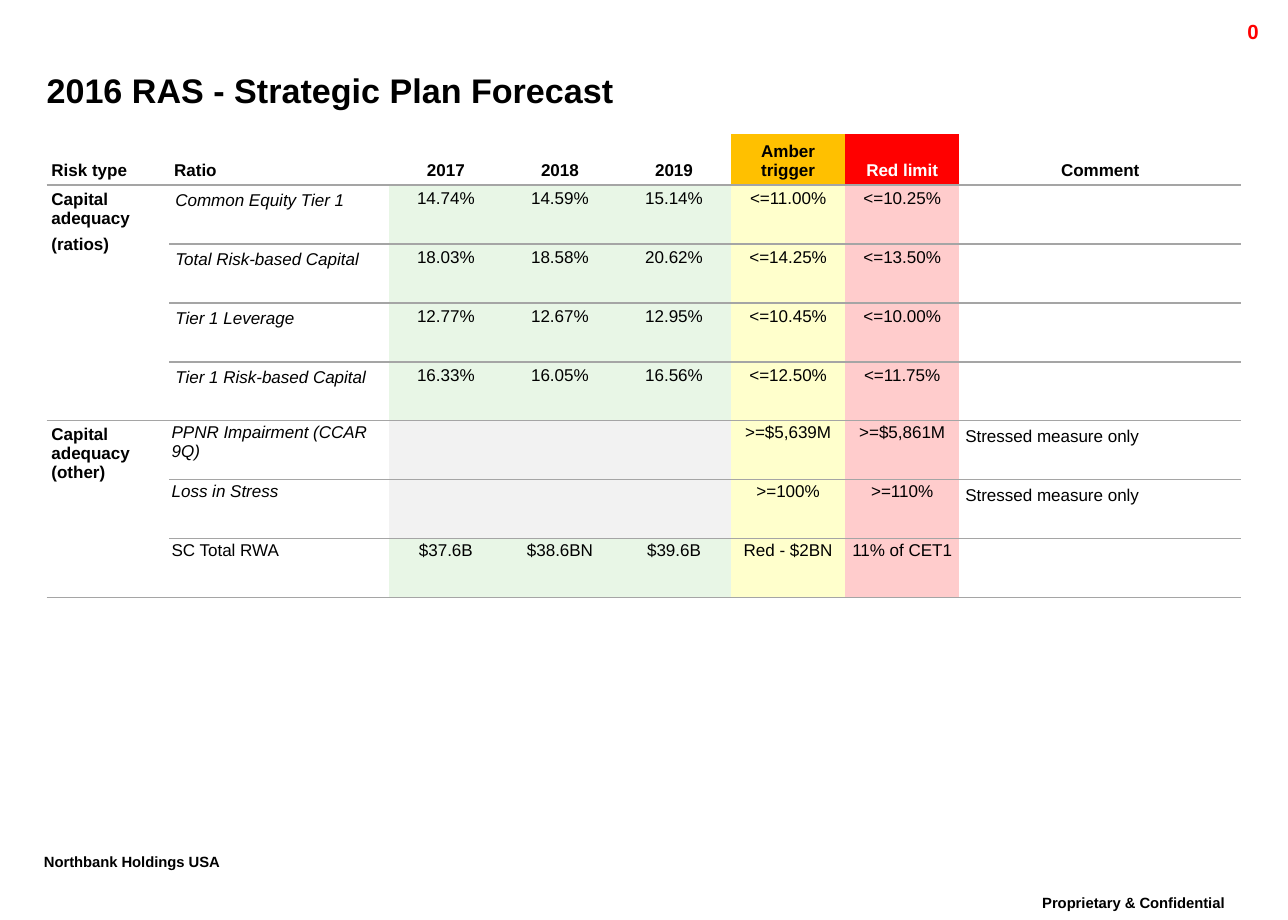
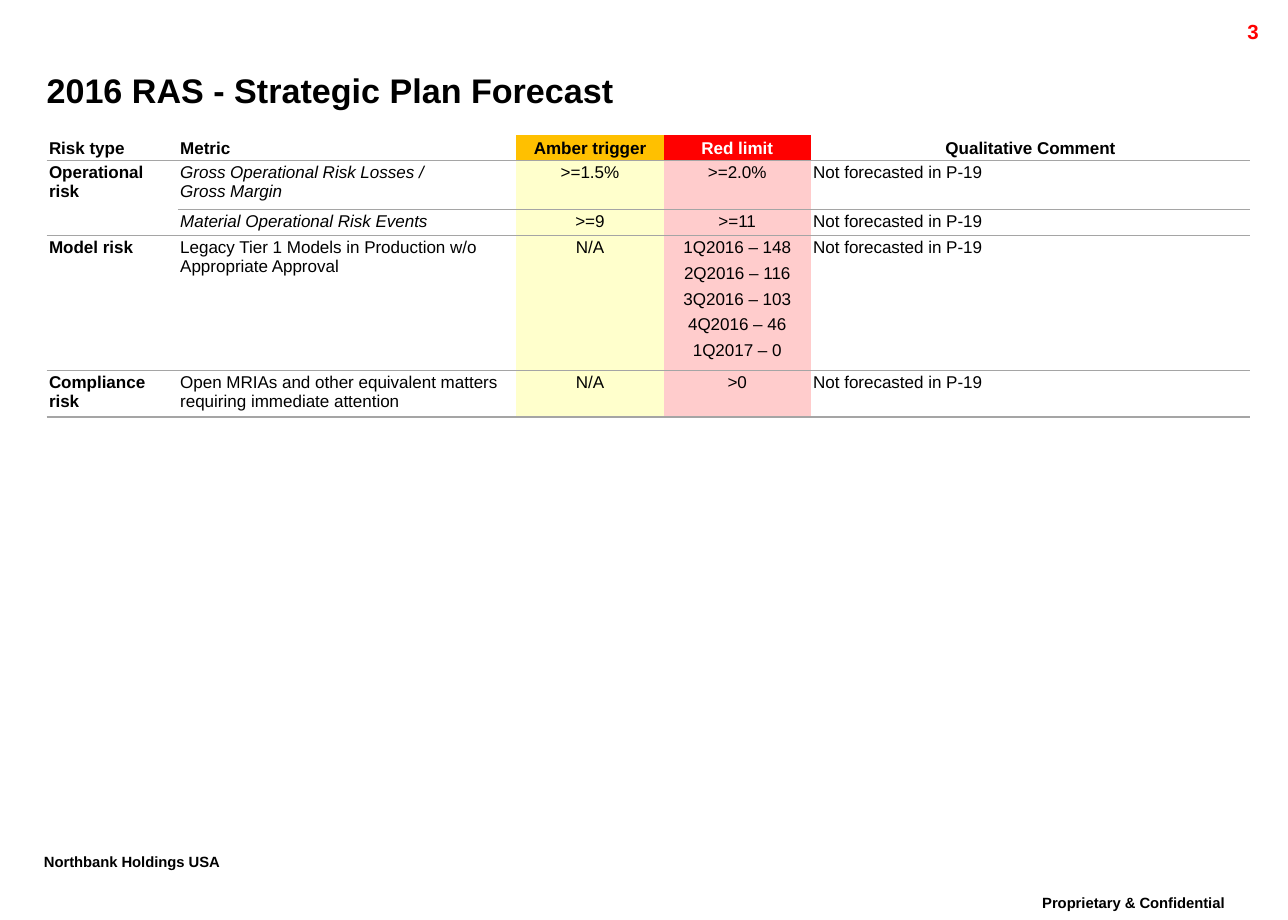
from lxml import etree
from pptx import Presentation
from pptx.dml.color import RGBColor
from pptx.enum.text import MSO_ANCHOR, PP_ALIGN
from pptx.oxml.ns import qn
from pptx.util import Inches, Pt

LEFT, CENTER, RIGHT = PP_ALIGN.LEFT, PP_ALIGN.CENTER, PP_ALIGN.RIGHT
TOP, MIDDLE, BOTTOM = MSO_ANCHOR.TOP, MSO_ANCHOR.MIDDLE, MSO_ANCHOR.BOTTOM
TITLE_ONLY = 5
PLAIN_TABLE_STYLE = "{2D5ABB26-0587-4C30-8999-92F81FD0307C}"

FONT = "Arial"
BLACK, WHITE, RED, RULE = "000000", "FFFFFF", "FF0000", "A5A5A5"
GREEN_TINT, GREY_TINT = "E8F6E6", "F2F2F2"
HEADING_FILLS = {"Amber trigger": "FFC000", "Red limit": RED}
BODY_TINTS = {"Amber trigger": "FFFFCC", "Red limit": "FFCCCC"}
LEFT_HEADINGS = ("Risk type", "Ratio", "Metric")


def color(value):
    return RGBColor.from_string(value)


def body_tint(heading, text):
    """Years are green, or grey where no forecast exists; limits keep their own tint."""
    if heading.isdigit():
        return GREEN_TINT if text else GREY_TINT
    return BODY_TINTS.get(heading)


def set_bottom_rule(cell):
    properties = cell._tc.get_or_add_tcPr()
    line = etree.Element(qn("a:lnB"), w=str(Pt(1)))
    fill = etree.SubElement(line, qn("a:solidFill"))
    etree.SubElement(fill, qn("a:srgbClr"), val=RULE)
    properties.insert(0, line)


class Deck:
    def __init__(self):
        self.presentation = Presentation()
        self.presentation.slide_width = Inches(10.5)
        self.presentation.slide_height = Inches(7.5)
        self.slide = None

    def style(self, paragraph, size, align=LEFT, bold=False, italic=False, ink=BLACK):
        paragraph.alignment = align
        font = paragraph.font
        font.name, font.size = FONT, Pt(size)
        font.bold, font.italic = bold, italic
        font.color.rgb = color(ink)

    def add_slide(self, title, page):
        layout = self.presentation.slide_layouts[TITLE_ONLY]
        self.slide = self.presentation.slides.add_slide(layout)
        self.title(title)
        self.label(page, 9.36, 0.11, 1, 0.24, 12, RIGHT, RED)
        self.footer("Northbank Holdings USA", 0.26, 6.91, 1.91, LEFT)
        self.footer("Proprietary & Confidential", 8.15, 7.25, 2.18, CENTER)

    def title(self, text):
        shape = self.slide.shapes.title
        shape.left, shape.top = Inches(0.38), Inches(0.49)
        shape.width, shape.height = Inches(9.48), Inches(0.48)
        frame = shape.text_frame
        frame.text = text
        frame.vertical_anchor = MIDDLE
        frame.margin_left = frame.margin_right = 0
        frame.margin_top = frame.margin_bottom = 0
        self.style(frame.paragraphs[0], 20, bold=True)

    def label(self, text, left, top, width, height, size, align, ink=BLACK):
        box = self.slide.shapes.add_textbox(
            Inches(left), Inches(top), Inches(width), Inches(height))
        box.text_frame.word_wrap = True
        box.text_frame.text = text
        paragraph = box.text_frame.paragraphs[0]
        self.style(paragraph, size, align, bold=True, ink=ink)
        return paragraph

    def footer(self, text, left, top, width, align):
        """Footers are set as raised superscript text."""
        paragraph = self.label(text, left, top, width, 0.35, 15, align)
        paragraph.line_spacing = 0.86
        paragraph.runs[0].font._element.set("baseline", "30000")

    def cell(self, cell, text, margin, fill=None, anchor=TOP, roomy=False, **font):
        """Roomy cells have no paragraph spacing; their centred figures get 10 pt lines."""
        cell.text = text
        cell.vertical_anchor = anchor
        cell.margin_left = cell.margin_right = Inches(margin)
        cell.margin_top = cell.margin_bottom = Inches(margin)
        if fill:
            cell.fill.solid()
            cell.fill.fore_color.rgb = color(fill)
        else:
            cell.fill.background()
        for paragraph in cell.text_frame.paragraphs:
            self.style(paragraph, 10, **font)
            if not roomy:
                paragraph.space_before = paragraph.space_after = Pt(2)
            elif paragraph.alignment == CENTER:
                paragraph.line_spacing = Pt(10)

    def table(self, top, widths, heights, headings, groups, italic_rows,
              roomy_rows=0, label_margin=0.02, comment_margin=0.02):
        """Each group is a risk type with its rows; the first rows may be italic or roomy."""
        frame = self.slide.shapes.add_table(
            len(heights), len(widths), Inches(0.38), Inches(top),
            Inches(sum(widths)), Inches(sum(heights)))
        table = frame.table
        table.first_row = table.horz_banding = False
        table._tbl.tblPr.find(qn("a:tableStyleId")).text = PLAIN_TABLE_STYLE
        for column, width in zip(table.columns, widths):
            column.width = Inches(width)
        for row, height in zip(table.rows, heights):
            row.height = Inches(height)

        for column, heading in enumerate(headings):
            cell = table.cell(0, column)
            self.cell(cell, heading, label_margin, HEADING_FILLS.get(heading), BOTTOM,
                      align=LEFT if heading in LEFT_HEADINGS else CENTER, bold=True,
                      ink=WHITE if heading == "Red limit" else BLACK)
            set_bottom_rule(cell)

        first = 1
        for risk_type, rows in groups:
            last = first + len(rows) - 1
            label = table.cell(first, 0)
            self.cell(label, risk_type, label_margin, bold=True)
            set_bottom_rule(label)
            if last > first:
                label.merge(table.cell(last, 0))
                set_bottom_rule(table.cell(last, 0))
            for row, texts in enumerate(rows, first):
                self.body_row(table, row, headings, texts, row <= italic_rows,
                              row <= roomy_rows, comment_margin)
            first = last + 1

    def body_row(self, table, row, headings, texts, italic, roomy, comment_margin):
        last = len(headings) - 1
        for column, text in enumerate(texts, 1):
            heading = headings[column]
            margin = 0.05 if roomy else 0.02
            if column == last:
                margin = comment_margin
            cell = table.cell(row, column)
            self.cell(cell, text, margin, body_tint(heading, text), roomy=roomy,
                      align=LEFT if column in (1, last) else CENTER,
                      italic=italic and column == 1)
            set_bottom_rule(cell)


def main():
    deck = Deck()
    title = "2016 RAS - Strategic Plan Forecast"

    deck.add_slide(title, "0")
    capital = [
        ("Capital adequacy\n(ratios)", [
            ("Common Equity Tier 1", "14.74%", "14.59%", "15.14%", "<=11.00%", "<=10.25%", ""),
            ("Total Risk-based Capital", "18.03%", "18.58%", "20.62%", "<=14.25%", "<=13.50%", ""),
            ("Tier 1 Leverage", "12.77%", "12.67%", "12.95%", "<=10.45%", "<=10.00%", ""),
            ("Tier 1 Risk-based Capital", "16.33%", "16.05%", "16.56%", "<=12.50%", "<=11.75%", ""),
        ]),
        ("Capital adequacy (other)", [
            ("PPNR Impairment (CCAR 9Q)", "", "", "", ">=$5,639M", ">=$5,861M",
             "Stressed measure only"),
            ("Loss in Stress", "", "", "", ">=100%", ">=110%", "Stressed measure only"),
            ("SC Total RWA", "$37.6B", "$38.6BN", "$39.6B", "Red - $2BN", "11% of CET1", ""),
        ]),
    ]
    deck.table(1.09, [1, 1.79] + [0.93] * 5 + [2.3], [0.42] + [0.48] * 7,
               ("Risk type", "Ratio", "2017", "2018", "2019",
                "Amber trigger", "Red limit", "Comment"),
               capital, italic_rows=6, roomy_rows=4, label_margin=0.04, comment_margin=0.05)

    deck.add_slide(title, "3")
    comment = "Not forecasted in P-19"
    model_limits = "1Q2016 – 148\n2Q2016 – 116\n3Q2016 – 103\n4Q2016 – 46\n1Q2017 – 0"
    other_risks = [
        ("Operational risk", [
            ("Gross Operational Risk Losses /\vGross Margin", ">=1.5%", ">=2.0%", comment),
            ("Material Operational Risk Events", ">=9", ">=11", comment),
        ]),
        ("Model risk", [
            ("Legacy Tier 1 Models in Production w/o Appropriate Approval",
             "N/A", model_limits, comment),
        ]),
        ("Compliance risk", [
            ("Open MRIAs and other equivalent matters requiring immediate attention",
             "N/A", ">0", comment),
        ]),
    ]
    deck.table(1.1, [1.07, 2.76, 1.2, 1.2, 3.58], [0.21, 0.4, 0.21, 1.1, 0.38],
               ("Risk type", "Metric", "Amber trigger", "Red limit", "Qualitative Comment"),
               other_risks, italic_rows=2)

    deck.presentation.save("out.pptx")


if __name__ == "__main__":
    main()
